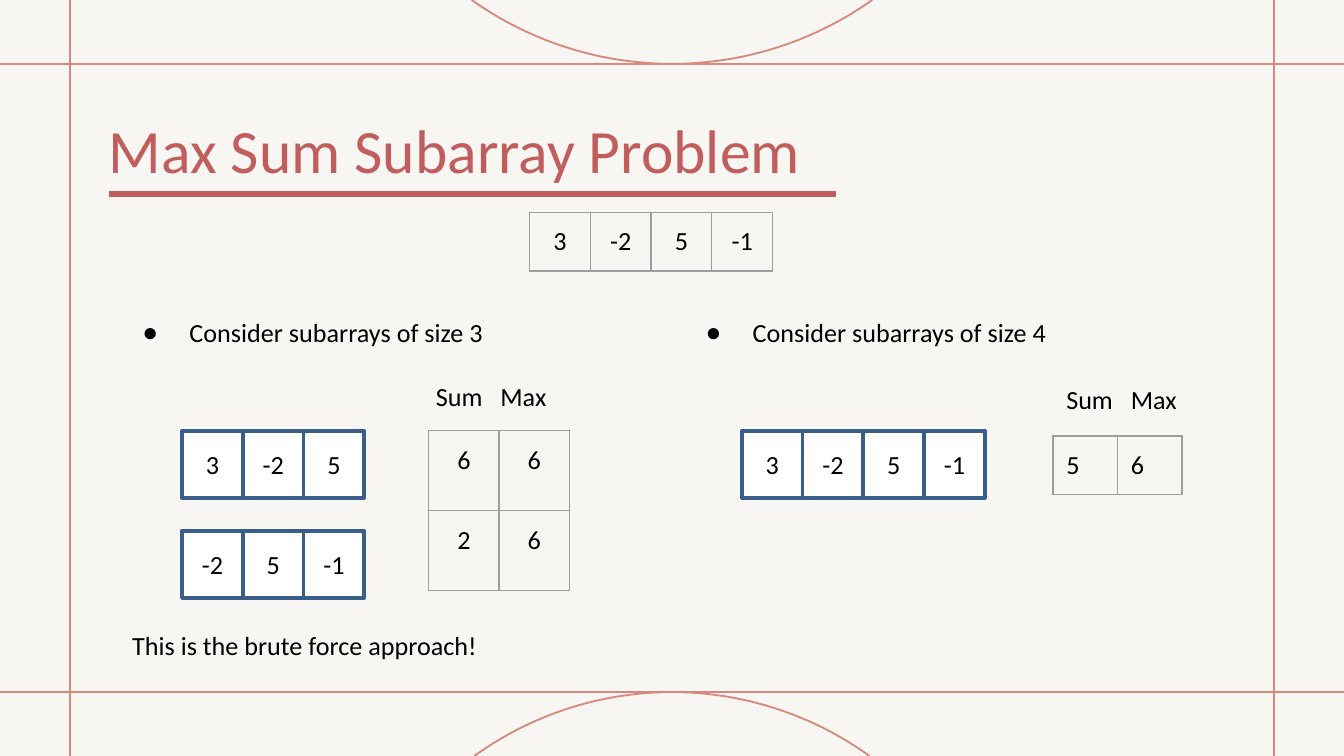
from math import asin, cos, sin

from lxml import etree
from pptx import Presentation
from pptx import util as u
from pptx.dml.color import RGBColor
from pptx.enum import shapes, text
from pptx.oxml.ns import qn

CREAM = RGBColor(0xF8, 0xF6, 0xF2)
ROSE = RGBColor(0xD8, 0x89, 0x7E)
RED = RGBColor(0xC2, 0x5D, 0x5D)
BLUE = RGBColor(0x39, 0x5E, 0x89)
GREY = RGBColor(0x9E, 0x9E, 0x9E)
WHITE = RGBColor(255, 255, 255)
BLACK = RGBColor(0, 0, 0)
FONT = "Calibri"

# The grid has 100 columns and 56.25 rows of equal size
UNIT = u.Inches(0.1)
COLS, ROWS = 100, 56.25
MID = text.PP_ALIGN.CENTER
LEFT = text.PP_ALIGN.LEFT


def grid(*vals):
    return [round(v * UNIT) for v in vals]


def write(frame, words, size=14, color=BLACK, align=LEFT, inset=(1, 1)):
    """Put one formatted run into a text frame or a table cell's frame."""
    frame.word_wrap = True
    side, top = grid(*inset)
    frame.margin_left = frame.margin_right = side
    frame.margin_top = frame.margin_bottom = top
    para = frame.paragraphs[0]
    para.alignment = align
    para.space_before = u.Pt(0)
    run = para.add_run()
    run.text = words
    run.font.size, run.font.name = u.Pt(size), FONT
    run.font.color.rgb = color
    return para


def rule(slide, x1, y1, x2, y2, color=ROSE, width=1):
    line = slide.shapes.add_connector(
        shapes.MSO_CONNECTOR.STRAIGHT, *grid(x1, y1, x2, y2))
    line.line.color.rgb, line.line.width = color, u.Pt(width)
    etree.SubElement(line._element.spPr, qn("a:effectLst"))


def arc(slide, tip, half, edge):
    """Draw a circle's arc from the slide edge to its tip, centred across."""
    deep = tip - edge
    rad = (half ** 2 + deep ** 2) / (2 * deep)
    span = asin(half / abs(rad))
    turns = [span * i / 36 for i in range(-36, 37)]
    pts = [grid(COLS / 2 + abs(rad) * sin(t), tip - rad * (1 - cos(t)))
           for t in turns]
    pen = slide.shapes.build_freeform(*pts[0])
    pen.add_line_segments(pts[1:], close=False)
    shape = pen.convert_to_shape()
    shape.shadow.inherit = False
    shape.fill.background()
    shape.line.color.rgb, shape.line.width = ROSE, u.Pt(1)


def frame(slide, x, top, low):
    """Cream ground, court lines and the two arcs."""
    slide.background.fill.solid()
    slide.background.fill.fore_color.rgb = CREAM
    for y in (low, top):
        rule(slide, 0, y, COLS, y)
    for side in (COLS - x, x):
        rule(slide, side, 0, side, ROWS)
    arc(slide, top, 14.9, 0)
    arc(slide, low, 14.7, ROWS)


def place(shape, box):
    shape.left, shape.top, shape.width, shape.height = grid(*box)


def head(slide, box, words):
    x, y, w, h = box
    title = slide.shapes.title
    place(title, box)
    write(title.text_frame, words, 33, RED, inset=(0, 0))
    title.text_frame.auto_size = text.MSO_AUTO_SIZE.NONE
    rule(slide, x, y + 6.15, x + 54.1, y + 6.15, RED, 3)


def point(slide, idx, box, words):
    """One bullet in a body placeholder."""
    body = slide.placeholders[idx]
    place(body, box)
    para = write(body.text_frame, words)
    body.text_frame.auto_size = text.MSO_AUTO_SIZE.NONE
    props = para._p.get_or_add_pPr()
    hang, dent = grid(5, -3.5)
    props.set("marL", str(hang))
    props.set("indent", str(dent))
    etree.SubElement(props, qn("a:buChar"), char="●")


def label(slide, box, words, stop=None):
    area = slide.shapes.add_textbox(*grid(*box))
    para = write(area.text_frame, words)
    area.text_frame.auto_size = text.MSO_AUTO_SIZE.SHAPE_TO_FIT_TEXT
    if stop:
        tabs = etree.SubElement(para._p.get_or_add_pPr(), qn("a:tabLst"))
        etree.SubElement(tabs, qn("a:tab"), pos=str(grid(stop)[0]), algn="l")


def border(cell):
    props = cell._tc.get_or_add_tcPr()
    for side in ("lnL", "lnR", "lnT", "lnB"):
        edge = etree.SubElement(props, qn("a:" + side), w=str(u.Pt(0.75)))
        fill = etree.SubElement(edge, qn("a:solidFill"))
        etree.SubElement(fill, qn("a:srgbClr"), val=str(GREY))


def table(slide, x, y, wide, high, data, align=MID):
    rows, cols = len(data), len(data[0])
    tab = slide.shapes.add_table(
        rows, cols, *grid(x, y, wide * cols, high * rows)).table
    tab.first_row = tab.horz_banding = False
    for col in tab.columns:
        col.width = grid(wide)[0]
    for r, vals in enumerate(data):
        tab.rows[r].height = grid(high)[0]
        for c, val in enumerate(vals):
            cell = tab.cell(r, c)
            cell.margin_left = cell.margin_right = UNIT
            cell.margin_top = cell.margin_bottom = UNIT
            write(cell.text_frame, val, align=align)
            border(cell)
            cell.fill.background()


def array(slide, x, y, vals, wide=4.5, high=5):
    """A row of touching boxes, one for each value."""
    for i, val in enumerate(vals):
        box = slide.shapes.add_shape(
            shapes.MSO_SHAPE.RECTANGLE, *grid(x + i * wide, y, wide, high))
        box.shadow.inherit = False
        box.fill.solid()
        box.fill.fore_color.rgb = WHITE
        box.line.color.rgb, box.line.width = BLUE, u.Pt(2)
        write(box.text_frame, val, align=MID, inset=(1, 0.5))
        box.text_frame.vertical_anchor = text.MSO_ANCHOR.MIDDLE


def main():
    deck = Presentation()
    deck.slide_width, deck.slide_height = grid(COLS, ROWS)
    slide = deck.slides.add_slide(deck.slide_layouts[3])
    nums = ["3", "-2", "5", "-1"]

    frame(slide, 5.2, 4.75, 51.5)
    head(slide, (8.1, 8.3, 53.3, 5.6), "Max Sum Subarray Problem")
    table(slide, 39.4, 15.8, 4.52, 4.2, [nums])

    # Size 3: each window with its sum and the best so far
    point(slide, 1, (8.1, 22.55, 38.1, 6.7), "Consider subarrays of size 3")
    for i in range(2):
        array(slide, 13.55, 32.05 + 7.45 * i, nums[i:i + 3], 4.52)
    label(slide, (31.45, 27.3, 10.9, 4.4), "Sum\tMax", 4.8)
    table(slide, 31.9, 32.05, 5.23, 5.95, [["6", "6"], ["2", "6"]])

    # Size 4: the whole array
    point(slide, 2, (50, 22.55, 44.4, 4.4), "Consider subarrays of size 4")
    array(slide, 55.2, 32.05, nums, 4.52)
    label(slide, (78.35, 27.55, 20.8, 4.4), "Sum\tMax", 4.8)
    table(slide, 78.35, 32.45, 4.8, 4.2, [["5", "6"]], LEFT)

    # Closing remark
    label(slide, (8.85, 45.85, 56.5, 4.4), "This is the brute force approach!")
    deck.save("out.pptx")


if __name__ == "__main__":
    main()
